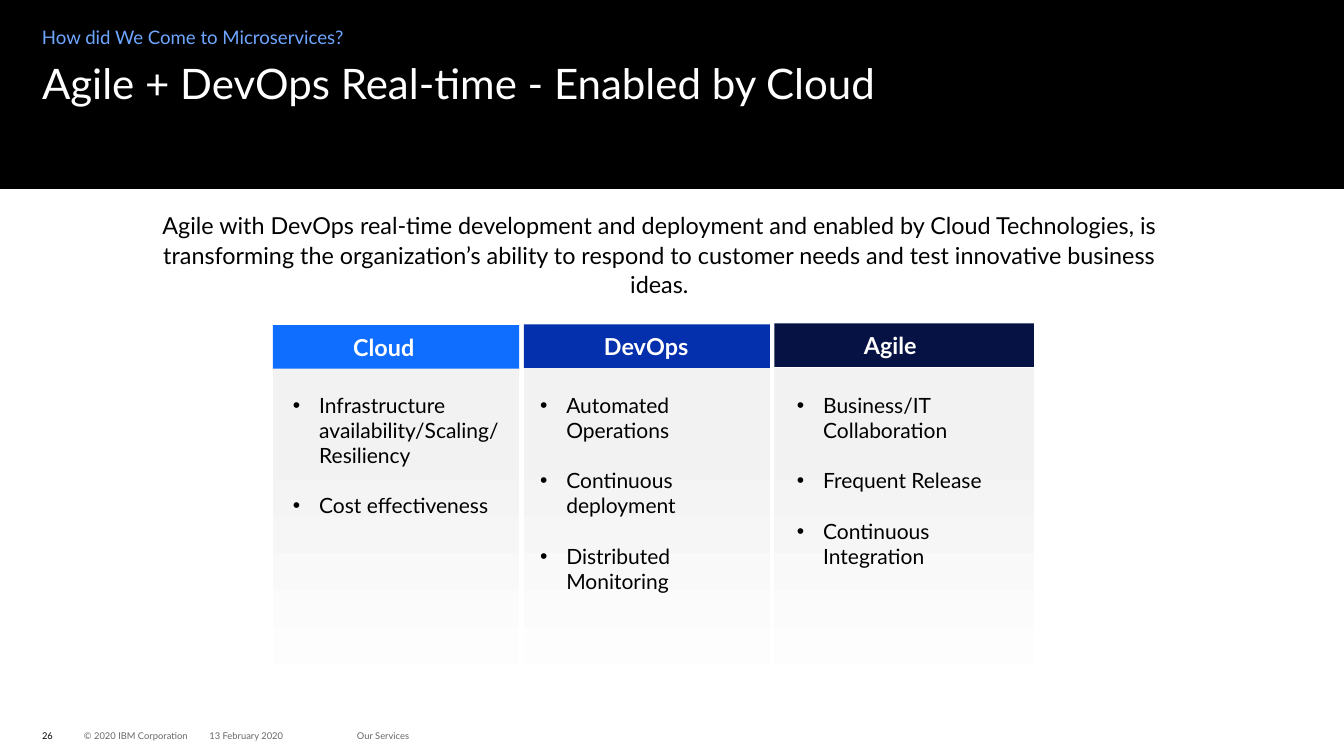
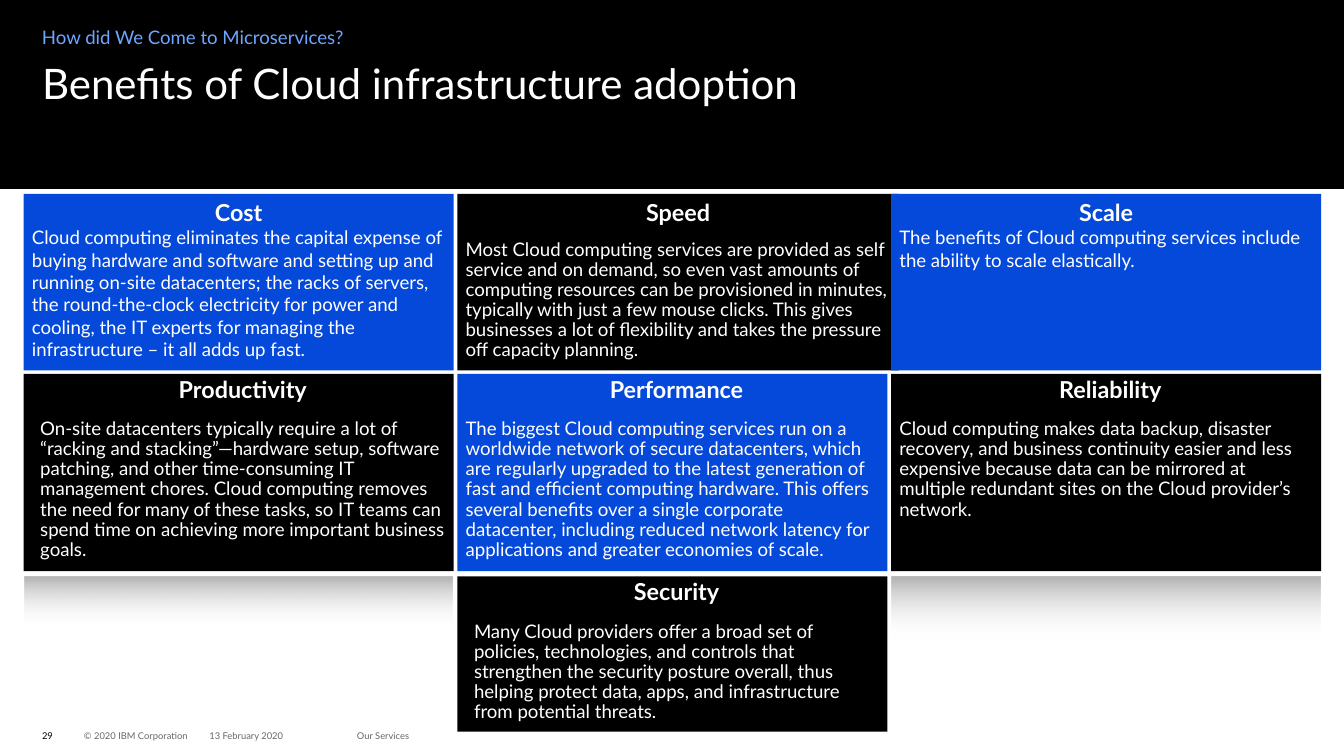
from lxml import etree
from pptx import Presentation
from pptx.dml.color import RGBColor
from pptx.enum import shapes, text
from pptx.oxml import ns
from pptx.util import Pt

FONT = "Lato"
BLACK, WHITE, GREY = "000000", "FFFFFF", "666666"
BLUE, LIGHT_BLUE = "0549DA", "6EA6FF"
SLIDE_WIDTH, SLIDE_HEIGHT = 1152, 648
SIDE_MARGIN = 36
LEFT, CENTER = text.PP_ALIGN.LEFT, text.PP_ALIGN.CENTER
TOP, MIDDLE = text.MSO_ANCHOR.TOP, text.MSO_ANCHOR.MIDDLE

KICKER = "How did We Come to Microservices?"
SUMMARY = (
    "Agile with DevOps real-time development and deployment and enabled by Cloud "
    "Technologies, is transforming the organization’s ability to respond to "
    "customer needs and test innovative business ideas."
)
# title, colour, left, top, width, right inset of the title, bullet box left and width, bullets
PILLARS = [
    ("Cloud", "0F6DFF", 234, 278.6, 211, 21, 244, 193,
     ["Infrastructure availability/Scaling/Resiliency", "Cost effectiveness"]),
    ("DevOps", "0530AD", 449, 278, 211, 1.4, 455.8, 198,
     ["Automated Operations", "Continuous deployment", "Distributed Monitoring"]),
    ("Agile", "051243", 663.8, 277.2, 222.5, 24, 676, 198,
     ["Business/IT Collaboration", "Frequent Release", "Continuous Integration"]),
]

TILE_LEFT, TILE_PITCH, TILE_WIDTH = 20.2, 371.8, 368.6
TILE_ROWS = [(166.3, 151.2), (320.4, 169.2), (494, 133.2)]
TIGHT = dict(line_spacing=0.9, after=2)
# title, column, row, colour, title indent, body indent, title format, body format, body
TILES = [
    ("Cost", 0, 0, BLUE, 0, 0, {}, {},
     "Cloud computing eliminates the capital expense of buying hardware and software "
     "and setting up and running on-site datacenters; the racks of servers, the "
     "round-the-clock electricity for power and cooling, the IT experts for managing "
     "the infrastructure – it all adds up fast."),
    ("Speed", 1, 0, BLACK, 0, 0, {}, dict(TIGHT, before=12),
     "Most Cloud computing services are provided as self service and on demand, so "
     "even vast amounts of computing resources can be provisioned in minutes, "
     "typically with just a few mouse clicks. This gives businesses a lot of "
     "flexibility and takes the pressure off capacity planning."),
    ("Scale", 2, 0, BLUE, 0, 0, {}, {},
     "The benefits of Cloud computing services include the ability to scale "
     "elastically."),
    ("Productivity", 0, 1, BLACK, 7.2, 7.2, TIGHT, dict(TIGHT, before=12),
     "On-site datacenters typically require a lot of “racking and stacking”—hardware "
     "setup, software patching, and other time-consuming IT management chores. Cloud "
     "computing removes the need for many of these tasks, so IT teams can spend time "
     "on achieving more important business goals."),
    ("Performance", 1, 1, BLUE, 7.2, 0, TIGHT, dict(TIGHT, before=12),
     "The biggest Cloud computing services run on a worldwide network of secure "
     "datacenters, which are regularly upgraded to the latest generation of fast and "
     "efficient computing hardware. This offers several benefits over a single "
     "corporate datacenter, including reduced network latency for applications and "
     "greater economies of scale."),
    ("Reliability", 2, 1, BLACK, 7.2, 0, TIGHT, dict(TIGHT, before=12),
     "Cloud computing makes data backup, disaster recovery, and business continuity "
     "easier and less expensive because data can be mirrored at multiple redundant "
     "sites on the Cloud provider’s network."),
    ("Security", 1, 2, BLACK, 7.2, 7.2, TIGHT, dict(TIGHT, before=12),
     "Many Cloud providers offer a broad set of policies, technologies, and controls "
     "that strengthen the security posture overall, thus helping protect data, apps, "
     "and infrastructure from potential threats."),
]


def rgb(color):
    return RGBColor.from_string(color)


def add_paragraph(frame, content, size, color=BLACK, bold=False, align=LEFT,
                  line_spacing=None, before=0, after=0, indent=0, bullet=None):
    """Write into the frame's first paragraph while it is empty, else append one."""
    paragraph = frame.add_paragraph() if frame.text else frame.paragraphs[0]
    if indent:
        properties = paragraph._p.get_or_add_pPr()
        properties.set("marL", str(Pt(indent)))
        properties.set("indent", str(-Pt(indent) if bullet else 0))
        if bullet:
            etree.SubElement(properties, ns.qn("a:buFont")).set("typeface", "Arial")
            etree.SubElement(properties, ns.qn("a:buChar")).set("char", bullet)
    paragraph.alignment = align
    paragraph.space_before, paragraph.space_after = Pt(before), Pt(after)
    if line_spacing:
        paragraph.line_spacing = line_spacing
    run = paragraph.add_run()
    run.text = content
    run.font.name, run.font.size, run.font.bold = FONT, Pt(size), bold
    run.font.color.rgb = rgb(color)


def format_frame(shape, anchor=TOP, margins=(0, 0, 0, 0)):
    """Margins run left, top, right, bottom."""
    frame = shape.text_frame
    frame.word_wrap = True
    frame.auto_size = text.MSO_AUTO_SIZE.NONE
    frame.vertical_anchor = anchor
    (frame.margin_left, frame.margin_top,
     frame.margin_right, frame.margin_bottom) = map(Pt, margins)
    return frame


def add_text_box(slide, left, top, width, height, **frame_format):
    box = slide.shapes.add_textbox(Pt(left), Pt(top), Pt(width), Pt(height))
    return format_frame(box, **frame_format)


def add_rectangle(slide, left, top, width, height, color=None):
    shape = slide.shapes.add_shape(
        shapes.MSO_SHAPE.RECTANGLE, Pt(left), Pt(top), Pt(width), Pt(height))
    shape.shadow.inherit = False
    shape.line.fill.background()
    if color:
        shape.fill.solid()
        shape.fill.fore_color.rgb = rgb(color)
    return shape


def add_fade(slide, left, top, width, height, stops):
    """Rectangle fading downwards; each stop is position, colour, opacity in percent."""
    fill = add_rectangle(slide, left, top, width, height).fill
    fill.gradient()
    fill.gradient_angle = 270
    for stop, (position, color, opacity) in zip(fill.gradient_stops, stops):
        stop.position = position
        stop.color.rgb = rgb(color)
        if opacity < 100:
            color_element = stop._gs.find(ns.qn("a:srgbClr"))
            alpha = etree.SubElement(color_element, ns.qn("a:alpha"))
            alpha.set("val", str(opacity * 1000))


def add_titled_slide(presentation, title, number):
    """Slide with the black band, kicker, title and footer that all slides share."""
    slide = presentation.slides.add_slide(presentation.slide_layouts[5])
    band = add_rectangle(slide, 0, 0, SLIDE_WIDTH, 162, BLACK)
    slide.shapes._spTree.insert(2, band._element)

    placeholder = slide.shapes.title
    placeholder.left, placeholder.top = Pt(SIDE_MARGIN), Pt(54)
    placeholder.width, placeholder.height = Pt(1080), Pt(90)
    add_paragraph(format_frame(placeholder), title, 36, WHITE, line_spacing=0.9)

    kicker = add_text_box(slide, SIDE_MARGIN, 21, 518, 22)
    add_paragraph(kicker, KICKER, 16, LIGHT_BLUE, line_spacing=1.05)

    for left, width, content, color in [
        (SIDE_MARGIN, 26, str(number), BLACK),
        (72, 105, "© 2020 IBM Corporation", GREY),
        (179.5, 108, "13 February 2020", GREY),
        (306, 180, "Our Services", GREY),
    ]:
        footer = add_text_box(slide, left, 622, width, 17, anchor=MIDDLE)
        add_paragraph(footer, content, 8, color)
    return slide


def add_pillar(slide, title, color, left, top, width, title_inset,
               list_left, list_width, bullets):
    add_fade(slide, left, 315.8, width, 285, [(0.22, "F2F2F2", 100), (1, WHITE, 100)])
    header = add_rectangle(slide, left, top, width, 37.4, color)
    frame = format_frame(header, anchor=MIDDLE, margins=(0, 0, title_inset, 0))
    add_paragraph(frame, title, 20, WHITE, bold=True, align=CENTER)
    frame = add_text_box(slide, list_left, 332.6, list_width, 182,
                         margins=(7.2, 3.6, 7.2, 3.6))
    for index, bullet in enumerate(bullets):
        add_paragraph(frame, bullet, 18, before=21.6 if index else 0,
                      indent=22.5, bullet="•")


def add_tile(slide, title, column, row, color, title_indent, body_indent,
             title_format, body_format, body):
    top, height = TILE_ROWS[row]
    width = TILE_WIDTH + (10 if title == "Speed" else 0)
    tile = add_rectangle(slide, TILE_LEFT + column * TILE_PITCH, top, width, height, color)
    frame = format_frame(tile, margins=(7.2, 3.6, 7.2, 3.6))
    add_paragraph(frame, title, 20, WHITE, bold=True, align=CENTER,
                  indent=title_indent, **title_format)
    add_paragraph(frame, body, 16, WHITE, indent=body_indent, **body_format)


def main():
    presentation = Presentation()
    presentation.slide_width, presentation.slide_height = Pt(SLIDE_WIDTH), Pt(SLIDE_HEIGHT)

    slide = add_titled_slide(presentation, "Agile + DevOps Real-time - Enabled by Cloud", 26)
    summary = add_text_box(slide, 136.8, 162, 856.8, 90, margins=(0, 18, 0, 0))
    add_paragraph(summary, SUMMARY, 20, align=CENTER, line_spacing=1.05)
    for pillar in PILLARS:
        add_pillar(slide, *pillar)

    slide = add_titled_slide(presentation, "Benefits of Cloud infrastructure adoption", 29)
    for tile in TILES:
        add_tile(slide, *tile)
    for column, height in [(0, 80), (2, 98.6)]:
        add_fade(slide, TILE_LEFT + column * TILE_PITCH + 0.7, TILE_ROWS[2][0],
                 TILE_WIDTH - 1.4, height, [(0, "808080", 61), (0.55, WHITE, 0)])

    presentation.save("out.pptx")


if __name__ == "__main__":
    main()
